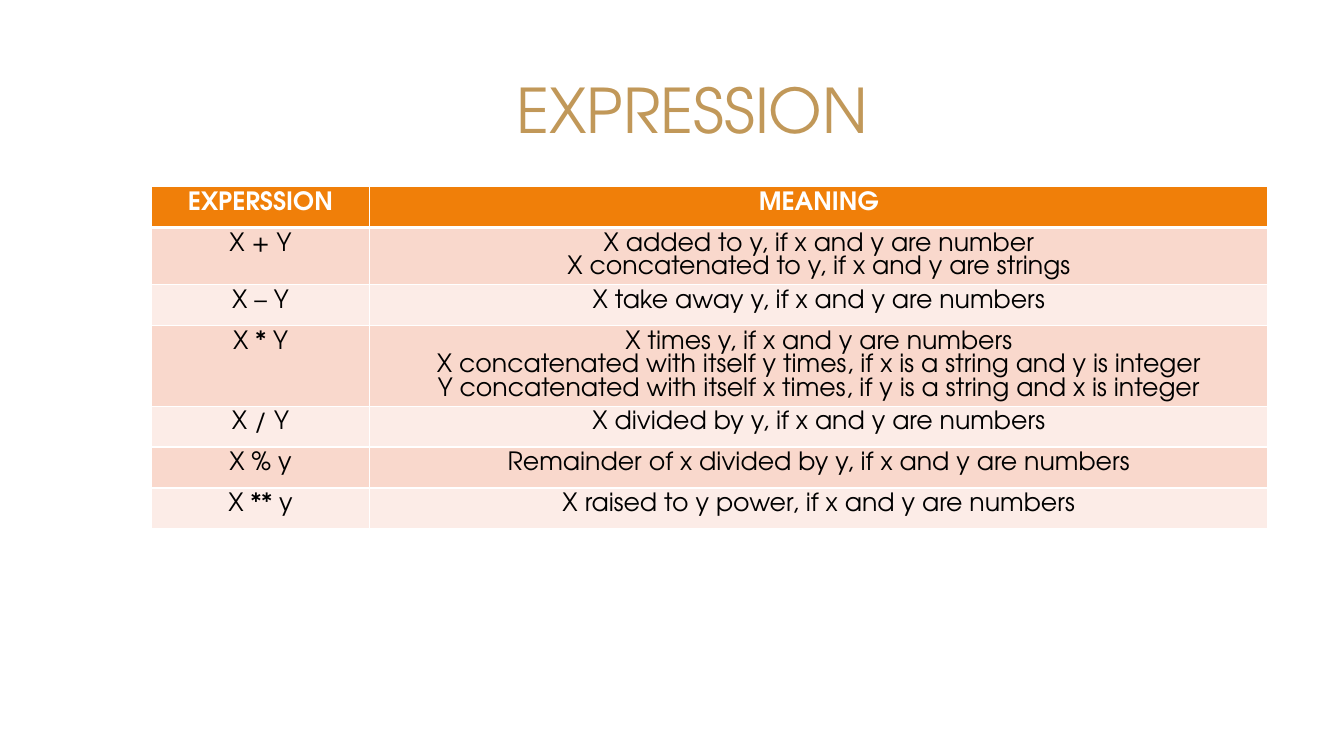
from lxml import etree
from pptx import Presentation
from pptx.dml.color import RGBColor
from pptx.enum.text import MSO_ANCHOR, PP_ALIGN
from pptx.oxml.ns import qn
from pptx.util import Cm, Pt

FONT = "TeX Gyre Adventor"
WHITE = RGBColor(0xFF, 0xFF, 0xFF)
BLACK = RGBColor(0x00, 0x00, 0x00)
GOLD = RGBColor(0xC1, 0x98, 0x59)
ORANGE = RGBColor(0xF0, 0x7F, 0x09)
PEACH = RGBColor(0xF9, 0xD8, 0xCC)
PALE = RGBColor(0xFC, 0xEC, 0xE7)

ROWS = [
    ("EXPERSSION", "MEANING"),
    ("X + Y", "X added to y, if x and y are number\n"
              "X concatenated to y, if x and y are strings"),
    ("X – Y", "X take away y, if x and y are numbers"),
    ("X * Y", "X times y, if x and y are numbers\n"
              "X concatenated with itself y times, if x is a string and y is integer\n"
              "Y concatenated with itself x times, if y is a string and x is integer"),
    ("X / Y", "X divided by y, if x and y are numbers"),
    ("X % y", "Remainder of x divided by y, if x and y are numbers"),
    ("X ** y", "X raised to y power, if x and y are numbers"),
]
HEIGHTS = [1.03, 1.42, 1.03, 2.02, 1.03, 1.03, 1.03]


def format_text(tf, size, color, bold=False, spacing=None):
    for p in tf.paragraphs:
        p.alignment = PP_ALIGN.CENTER
        p.line_spacing = spacing
        p.font.name = FONT
        p.font.size = Pt(size)
        p.font.bold = bold
        p.font.color.rgb = color


def add_borders(cell, bottom):
    tcPr = cell._tc.get_or_add_tcPr()
    widths = {"a:lnL": 1, "a:lnR": 1, "a:lnT": 1, "a:lnB": bottom}
    for i, (tag, width) in enumerate(widths.items()):
        ln = etree.Element(qn(tag), w=str(Pt(width)))
        fill = etree.SubElement(ln, qn("a:solidFill"))
        etree.SubElement(fill, qn("a:srgbClr"), val=str(WHITE))
        tcPr.insert(i, ln)


prs = Presentation()
prs.slide_width, prs.slide_height = Cm(33.87), Cm(19.05)
s = prs.slides.add_slide(prs.slide_layouts[5])

title = s.shapes.title
title.left, title.top, title.width, title.height = Cm(3.38), Cm(1.02), Cm(28.14), Cm(3.68)
title.text_frame.text = "EXPRESSION"
title.text_frame.vertical_anchor = MSO_ANCHOR.MIDDLE
format_text(title.text_frame, 44, GOLD, spacing=0.9)

frame = s.shapes.add_table(len(ROWS), 2, Cm(3.81), Cm(4.7), Cm(28.14), Cm(8.59))
table = frame.table
table.columns[0].width, table.columns[1].width = Cm(5.51), Cm(22.63)

for i, (texts, height) in enumerate(zip(ROWS, HEIGHTS)):
    table.rows[i].height = Cm(height)
    header = i == 0
    for j, text in enumerate(texts):
        cell = table.cell(i, j)
        cell.text = text
        format_text(cell.text_frame, 18, WHITE if header else BLACK, header)
        cell.fill.solid()
        cell.fill.fore_color.rgb = ORANGE if header else PEACH if i % 2 else PALE
        add_borders(cell, 3 if header else 1)

prs.save("out.pptx")
